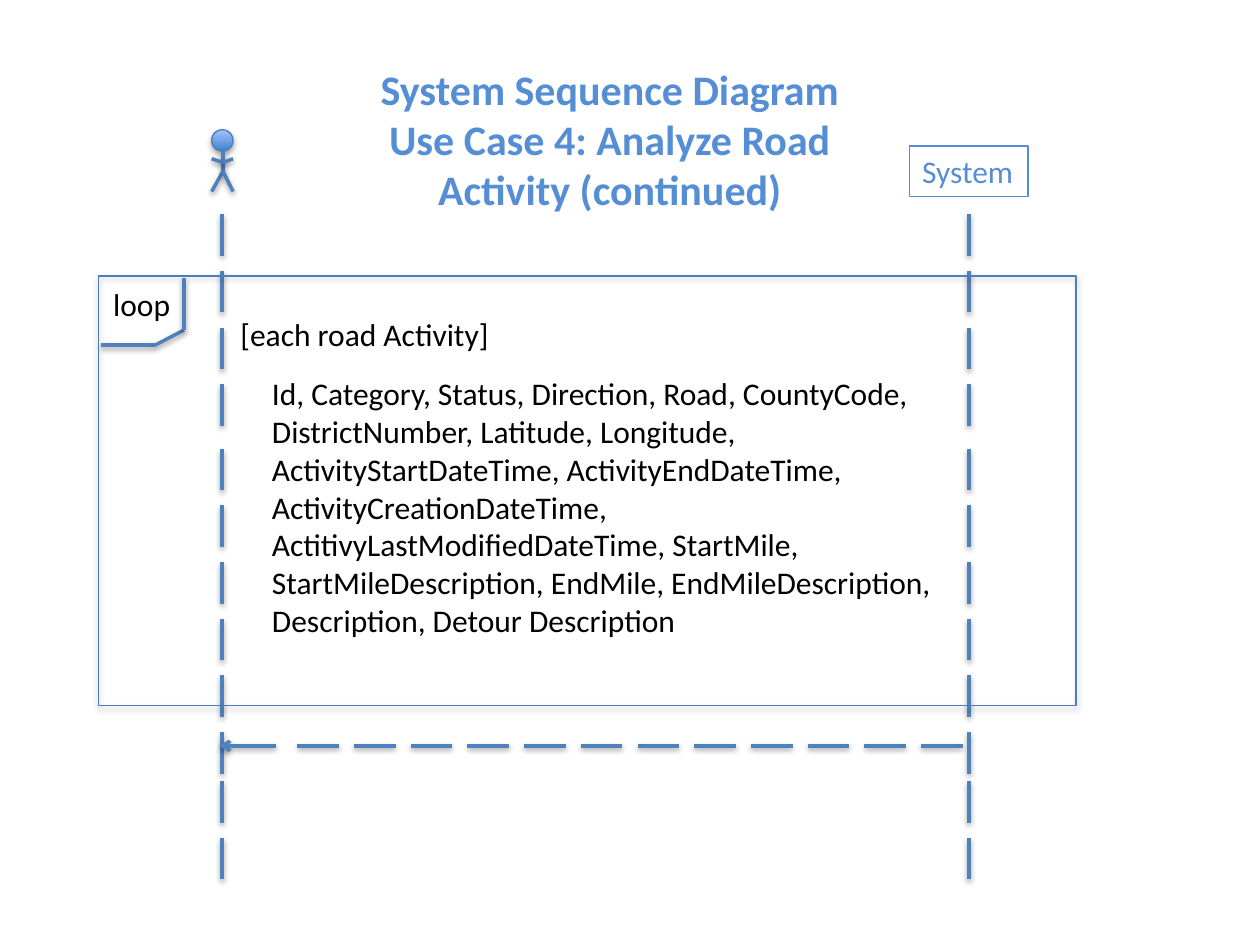
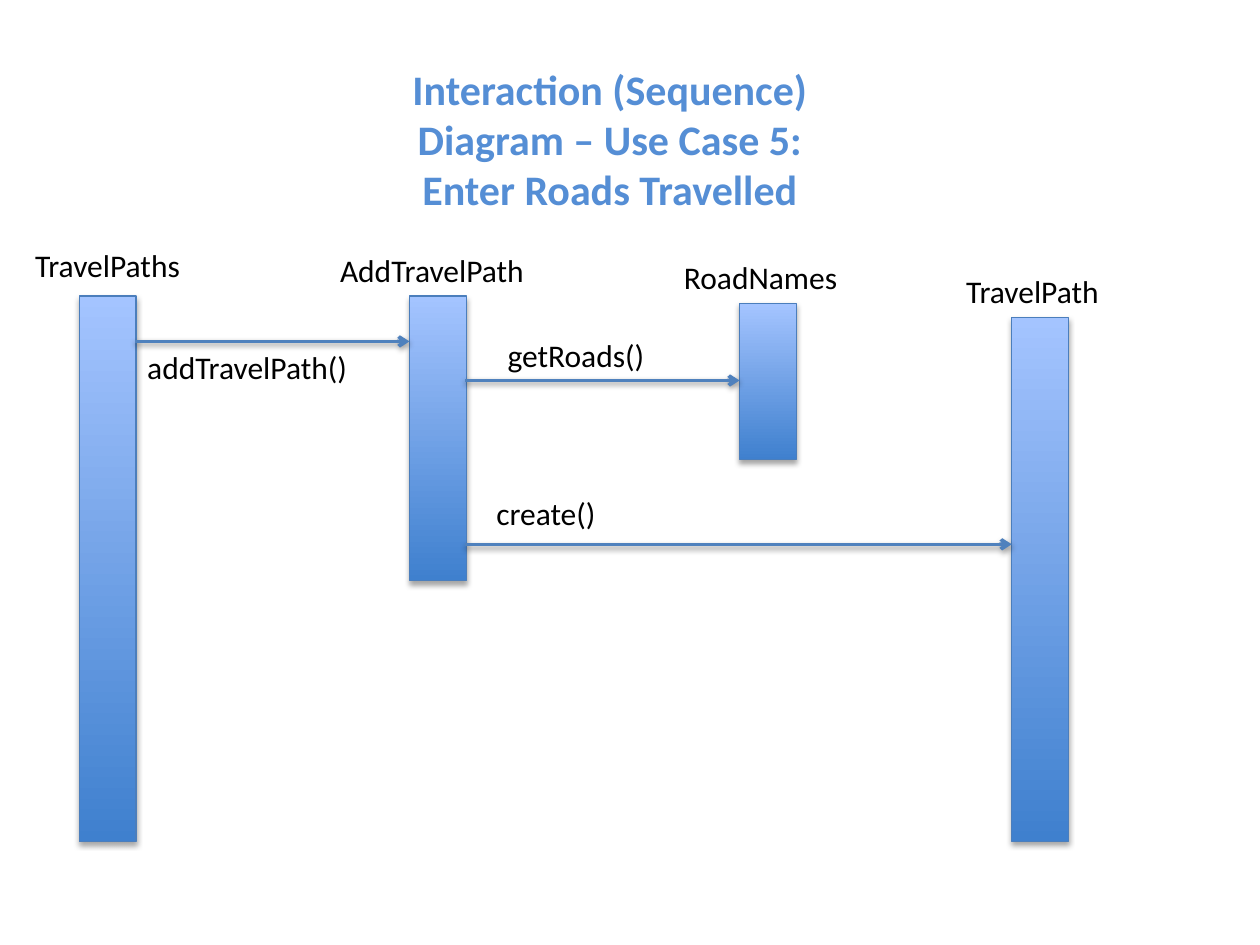
"""Build two sequence diagram slides for a road activity system."""
from lxml import etree
from pptx import Presentation, util as u
from pptx.dml import color
from pptx.enum import shapes as s, text as t
from pptx.oxml import ns

PX = 9144
COLORS = {
    "accent": "558ED5",
    "text": "000000",
    "line": "4F81BD",
    "outline": "4B7EBC",
    "bottom": "3F80CE",
    "top": "A4C4FF",
    "shadow": "000000",
}
FONT = "Calibri"
TITLE_BOX = (291, 45, 386, 131)
LABEL_HEIGHT = 40
BAR_WIDTH = 45
DASH = 33
DASH_PITCH = 45
DASH_RUNS = ((170, 4), (356, 6), (620, 2))
USER_X, SYSTEM_X = 176, 769
RETURN_Y = 592


def rgb(name):
    return color.RGBColor.from_string(COLORS[name])


def px(*lengths):
    return [u.Emu(length * PX) for length in lengths]


class Board:
    def __init__(self):
        self.presentation = Presentation()
        self.presentation.slide_width, self.presentation.slide_height = px(1000, 750)
        self.slide = None

    def new_slide(self, title):
        layout = self.presentation.slide_layouts[5]
        self.slide = self.presentation.slides.add_slide(layout)
        shape = self.slide.shapes.title
        shape.left, shape.top, shape.width, shape.height = px(*TITLE_BOX)
        frame = shape.text_frame
        frame.text = title
        frame.word_wrap = True
        frame.auto_size = t.MSO_AUTO_SIZE.NONE
        frame.vertical_anchor = t.MSO_ANCHOR.TOP
        self.format_text(frame, 24, "accent", True, t.PP_ALIGN.CENTER)

    def format_text(self, frame, size, tint, bold=False, align=t.PP_ALIGN.LEFT):
        for paragraph in frame.paragraphs:
            paragraph.alignment = align
            for run in paragraph.runs:
                run.font.name = FONT
                run.font.size = u.Pt(size)
                run.font.bold = bold
                run.font.color.rgb = rgb(tint)

    def add_shadow(self, shape, distance, opacity):
        properties = shape._element.spPr
        for effects in properties.findall(ns.qn("a:effectLst")):
            properties.remove(effects)
        effects = etree.SubElement(properties, ns.qn("a:effectLst"))
        shadow = etree.SubElement(
            effects, ns.qn("a:outerShdw"), blurRad="40000", dist=str(distance),
            dir="5400000", rotWithShape="0")
        tint = etree.SubElement(shadow, ns.qn("a:srgbClr"), val=COLORS["shadow"])
        etree.SubElement(tint, ns.qn("a:alpha"), val=str(opacity * 1000))

    def label(self, words, left, top, width, height=LABEL_HEIGHT, tint="text"):
        shape = self.slide.shapes.add_textbox(*px(left, top, width, height))
        frame = shape.text_frame
        frame.text = words
        frame.word_wrap = False
        frame.auto_size = t.MSO_AUTO_SIZE.SHAPE_TO_FIT_TEXT
        self.format_text(frame, 18, tint)
        return shape

    def outline(self, shape, tint="outline"):
        shape.line.color.rgb = rgb(tint)
        shape.line.width = u.Pt(0.75)

    def block(self, left, top, width, height, kind=s.MSO_SHAPE.RECTANGLE, filled=True):
        shape = self.slide.shapes.add_shape(kind, *px(left, top, width, height))
        if filled:
            shape.fill.gradient()
            shape.fill.gradient_angle = 90
            for stop, tint in zip(shape.fill.gradient_stops, ("bottom", "top")):
                stop.color.rgb = rgb(tint)
        else:
            shape.fill.background()
        self.outline(shape)
        self.add_shadow(shape, 23000, 35)
        return shape

    def line(self, x1, y1, x2, y2, arrow=False):
        connector = self.slide.shapes.add_connector(
            s.MSO_CONNECTOR.STRAIGHT, *px(x1, y1, x2, y2))
        connector.line.color.rgb = rgb("line")
        connector.line.width = u.Pt(2)
        if arrow:
            stroke = connector._element.spPr.find(ns.qn("a:ln"))
            etree.SubElement(stroke, ns.qn("a:tailEnd"), type="arrow")
        self.add_shadow(connector, 20000, 38)
        return connector

    def group(self, members):
        self.slide.shapes.add_group_shape(members)

    def lifeline(self, x):
        for start, count in DASH_RUNS:
            for index in range(count):
                top = start + index * DASH_PITCH
                self.line(x, top, x, top + DASH)

    def actor(self, x, top):
        head = self.block(x - 9, top, 17, 17, s.MSO_SHAPE.OVAL)
        neck, shoulder, hip, foot = top + 17, top + 26, top + 33, top + 49
        limbs = [self.line(x, neck, x, hip)]
        for side in (x - 9, x + 8):
            limbs.append(self.line(x, hip, side, foot))
            limbs.append(self.line(x, shoulder, side, shoulder - 3))
        self.group([head, *limbs])


def draw_analyze_activity(board):
    board.new_slide("System Sequence Diagram\nUse Case 4: Analyze Road Activity (continued)")
    for x in (USER_X, SYSTEM_X):
        board.lifeline(x)
    board.actor(177, 103)
    system = board.label("System", 722, 116, 94, tint="accent")
    board.outline(system, "accent")

    activity_fields = (
        "Id, Category, Status, Direction, Road, CountyCode,",
        "DistrictNumber, Latitude, Longitude,",
        "ActivityStartDateTime, ActivityEndDateTime,",
        "ActivityCreationDateTime,",
        "ActitivyLastModifiedDateTime, StartMile,",
        "StartMileDescription, EndMile, EndMileDescription,",
        "Description, Detour Description",
    )
    board.label("\n".join(activity_fields), 206, 292, 549, 222)

    board.block(78, 219, 776, 341, filled=False)
    board.label("loop", 80, 221, 66)
    tab_corners = ((80, 274), (123, 274), (146, 262), (146, 221))
    for start, end in zip(tab_corners, tab_corners[1:]):
        board.line(*start, *end)
    board.label("[each road Activity]", 181, 245, 220)

    starts = [764 - index * DASH_PITCH for index in range(12)]
    board.group([board.line(x, RETURN_Y, x - DASH, RETURN_Y) for x in starts])
    board.line(219, RETURN_Y, 174, RETURN_Y, arrow=True)


def draw_enter_roads(board):
    board.new_slide("Interaction (Sequence) Diagram – Use Case 5: Enter Roads Travelled")
    participants = (
        ("TravelPaths", 18, 190, 140, 63, 235, 433),
        ("AddTravelPath", 260, 194, 171, 325, 235, 226),
        ("RoadNames", 533, 200, 144, 587, 241, 124),
        ("TravelPath", 757, 211, 130, 803, 252, 416),
    )
    for name, left, top, width, bar_left, bar_top, bar_height in participants:
        board.block(bar_left, bar_top, BAR_WIDTH, bar_height)
        board.label(name, left, top, width)

    messages = (
        ("addTravelPath()", 107, 271, 184, 107, 325, 271),
        ("getRoads()", 393, 262, 131, 369, 587, 302),
        ("create()", 384, 387, 101, 369, 803, 432),
    )
    for call, left, top, width, start, end, y in messages:
        board.line(start, y, end, y, arrow=True)
        board.label(call, left, top, width)


def main():
    board = Board()
    draw_analyze_activity(board)
    draw_enter_roads(board)
    board.presentation.save("out.pptx")


if __name__ == "__main__":
    main()
